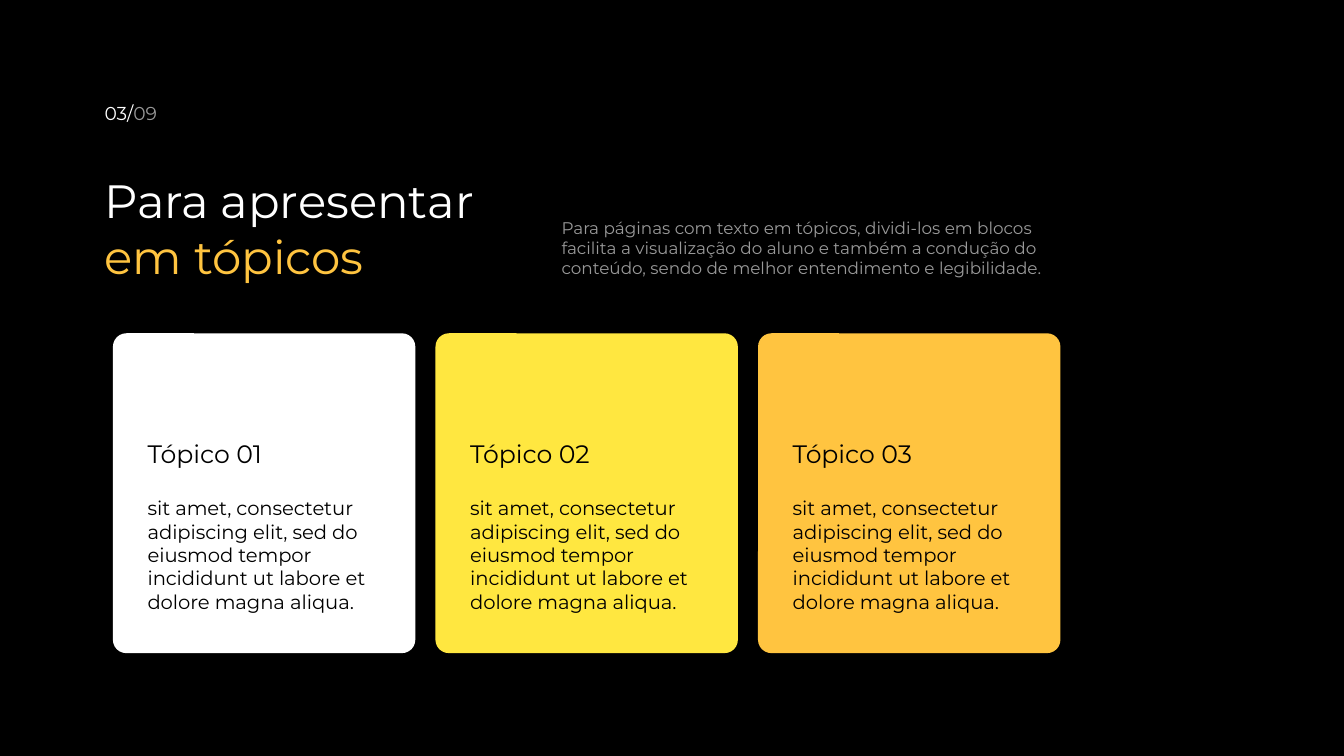
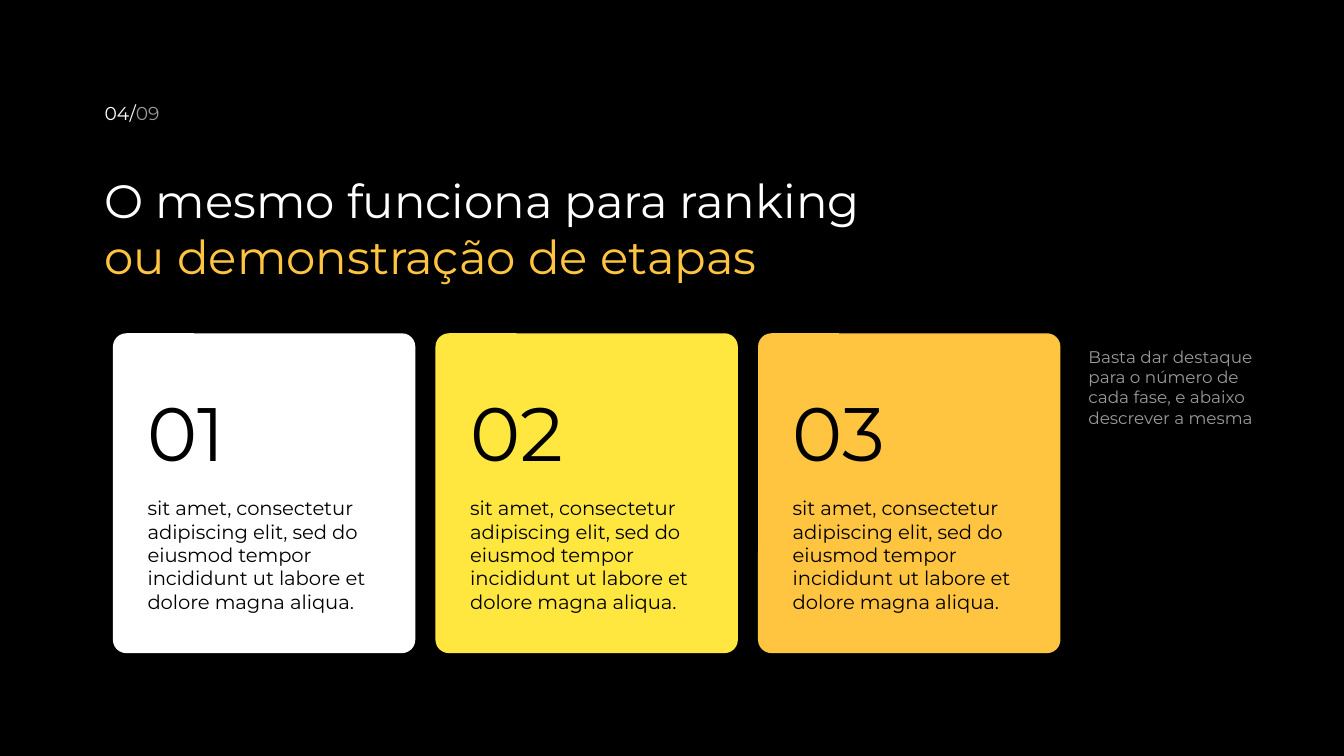
from dataclasses import dataclass

from pptx import Presentation
from pptx import util as u
from pptx.dml import color
from pptx.enum import shapes, text


@dataclass(frozen=True)
class Theme:
    """Colours, font and type sizes shared by the slides."""
    font: str = "Montserrat"
    black: str = "000000"
    white: str = "FFFFFF"
    yellow: str = "FFE740"
    amber: str = "FFC440"
    grey: str = "999999"
    title: float = 25
    counter: float = 10
    note: float = 9
    body: float = 10.5
    topic: float = 13.5
    rank: float = 40.5


THEME = Theme()
WIDTH = 10
HEIGHT = WIDTH * 9 / 16
PAGE_COUNT = "09"
CARDS_BOX = (0.84, 2.48, 7.05, 2.38)
CARD_GAP = 0.15
CARD_RADIUS = 0.1
CARD_COLOURS = (THEME.white, THEME.yellow, THEME.amber)
CARD_BODY = ("sit amet, consectetur adipiscing elit, sed do eiusmod tempor "
             "incididunt ut labore et dolore magna aliqua.")


def add_text(slide, paragraphs, box, *, size, colour=THEME.black, grow=False):
    """Write paragraphs, each a string or a list of (text, colour) runs."""
    label = slide.shapes.add_textbox(*map(u.Inches, box))
    frame = label.text_frame
    frame.word_wrap = True
    frame.auto_size = (text.MSO_AUTO_SIZE.SHAPE_TO_FIT_TEXT if grow
                       else text.MSO_AUTO_SIZE.NONE)
    frame.margin_left = frame.margin_right = u.Inches(0.1)
    frame.margin_top = frame.margin_bottom = u.Inches(0.1)
    for index, content in enumerate(paragraphs):
        line = frame.add_paragraph() if index else frame.paragraphs[0]
        runs = [(content, colour)] if isinstance(content, str) else content
        for words, run_colour in runs:
            run = line.add_run()
            run.text = words
            run.font.name = THEME.font
            run.font.size = u.Pt(size)
            run.font.color.rgb = color.RGBColor.from_string(run_colour)


def add_panel(slide, kind, box, colour):
    """Draw a flat filled shape without line or shadow."""
    panel = slide.shapes.add_shape(kind, *map(u.Inches, box))
    panel.fill.solid()
    panel.fill.fore_color.rgb = color.RGBColor.from_string(colour)
    panel.line.fill.background()
    panel.shadow.inherit = False
    return panel


def add_header(slide, box, page, title):
    """Place the page counter and the two-coloured title in the box."""
    left, top, width, height = box
    lead, accent = title
    add_text(slide, [[(lead, THEME.white)], [(accent, THEME.amber)]],
             (left, top + 0.52, width, height - 0.52), size=THEME.title)
    add_text(slide, [[(f"{page}/", THEME.white), (PAGE_COUNT, THEME.grey)]],
             (left, top, 0.97, 0.27), size=THEME.counter)


def add_card(slide, box, colour, heading, heading_top, heading_height, size):
    """Draw one rounded card with its heading and body text."""
    left, top, width, height = box
    card = add_panel(slide, shapes.MSO_SHAPE.ROUNDED_RECTANGLE, box, colour)
    card.adjustments[0] = CARD_RADIUS / min(width, height)
    inner = left + 0.16
    add_text(slide, [CARD_BODY], (inner, top + 1.11, width - 0.32, 0.99),
             size=THEME.body)
    add_text(slide, [heading], (inner, top + heading_top, 1.59, heading_height),
             size=size, grow=True)


def add_card_row(slide, box, headings, **heading_format):
    """Share the box equally among the cards."""
    left, top, width, height = box
    card_width = (width - CARD_GAP * (len(headings) - 1)) / len(headings)
    for index, (heading, colour) in enumerate(zip(headings, CARD_COLOURS)):
        card_left = left + index * (card_width + CARD_GAP)
        add_card(slide, (card_left, top, card_width, height), colour, heading,
                 **heading_format)


def add_cards_slide(deck, page, title, title_width, note, note_box, headings,
                    **heading_format):
    """Build a black slide with a header, a note and a row of cards."""
    slide = deck.slides.add_slide(deck.slide_layouts[6])
    add_panel(slide, shapes.MSO_SHAPE.RECTANGLE, (0, 0, WIDTH, HEIGHT), THEME.black)
    add_header(slide, (0.68, 0.66, title_width, 1.51), page, title)
    add_text(slide, [note], note_box, size=THEME.note, colour=THEME.grey)
    add_card_row(slide, CARDS_BOX, headings, **heading_format)


def main():
    """Build and save the two slides."""
    deck = Presentation()
    deck.slide_width, deck.slide_height = u.Inches(WIDTH), u.Inches(HEIGHT)
    numbers = [f"{number:02}" for number in range(1, 4)]
    add_cards_slide(
        deck, "03", ("Para apresentar", "em tópicos"), 3.23,
        "Para páginas com texto em tópicos, dividi-los em blocos facilita a "
        "visualização do aluno e também a condução do conteúdo, sendo de "
        "melhor entendimento e legibilidade.",
        (4.08, 1.52, 3.81, 0.58), [f"Tópico {number}" for number in numbers],
        heading_top=0.68, heading_height=0.43, size=THEME.topic)
    add_cards_slide(
        deck, "04",
        ("O mesmo funciona para ranking", "ou demonstração de etapas"), 6.52,
        "Basta dar destaque para o número de cada fase, e abaixo descrever a mesma",
        (8, 2.48, 1.55, 0.81), numbers,
        heading_top=0.29, heading_height=0.88, size=THEME.rank)
    deck.save("out.pptx")


if __name__ == "__main__":
    main()
